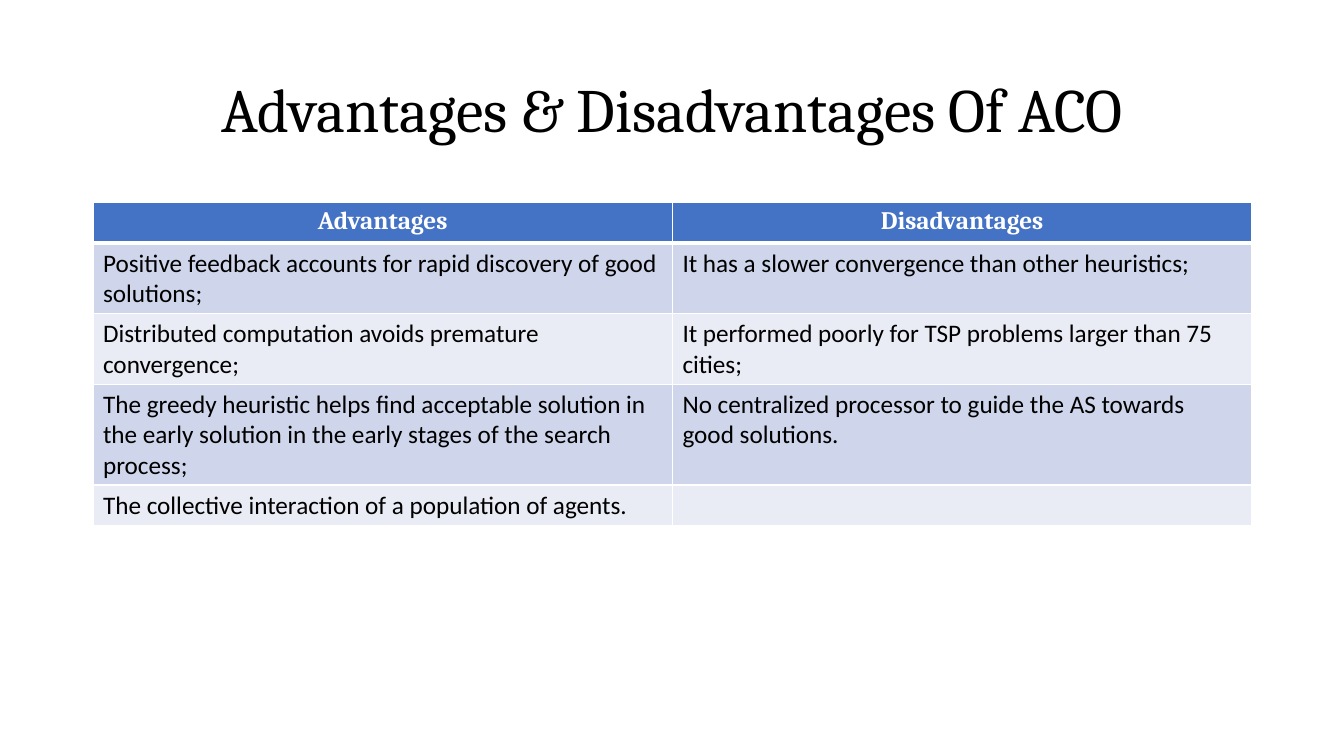
import pptx
import pptx.util
import pptx.dml.color
import pptx.enum.text
import pptx.oxml
import pptx.oxml.ns

RGBColor = pptx.dml.color.RGBColor
PP_ALIGN = pptx.enum.text.PP_ALIGN
ANCHOR = pptx.enum.text.MSO_ANCHOR

PX_PER_INCH = 100.8
BLACK = RGBColor(0x00, 0x00, 0x00)
WHITE = RGBColor(0xFF, 0xFF, 0xFF)
HEADER_BLUE = RGBColor(0x44, 0x72, 0xC4)
BANDS = (RGBColor(0xCF, 0xD5, 0xEA), RGBColor(0xE9, 0xEB, 0xF5))

HEADERS = ("Advantages", "Disadvantages")
POINTS = (
    ("Positive feedback accounts for rapid discovery of good solutions;",
     "It has a slower convergence than other heuristics;"),
    ("Distributed computation avoids premature convergence;",
     "It performed poorly for TSP problems larger than 75 cities;"),
    ("The greedy heuristic helps find acceptable solution in the early "
     "solution in the early stages of the search process;",
     "No centralized processor to guide the AS towards good solutions."),
    ("The collective interaction of a population of agents.", ""),
)


def px(n):
    return pptx.util.Emu(round(n * 914400 / PX_PER_INCH))


def format_text(p, size, font, color, bold=False):
    for r in p.runs:
        r.font.size = pptx.util.Pt(size)
        r.font.name = font
        r.font.color.rgb = color
        r.font.bold = bold


def set_borders(cell, top, bottom):
    """White cell borders, 1 pt at the sides; top and bottom in points."""
    tcPr = cell._tc.get_or_add_tcPr()
    sides = (("L", 1), ("R", 1), ("T", top), ("B", bottom))
    for i, (side, width) in enumerate(sides):
        ln = pptx.oxml.parse_xml(
            f'<a:ln{side} {pptx.oxml.ns.nsdecls("a")} w="{pptx.util.Pt(width)}">'
            f'<a:solidFill><a:srgbClr val="{WHITE}"/></a:solidFill></a:ln{side}>')
        tcPr.insert(i, ln)


def add_title(slide, x, y, w, h):
    tf = slide.shapes.add_textbox(px(x), px(y), px(w), px(h)).text_frame
    tf.word_wrap = True
    tf.vertical_anchor = ANCHOR.MIDDLE
    p = tf.paragraphs[0]
    p.text = "Advantages & Disadvantages Of ACO"
    p.alignment = PP_ALIGN.CENTER
    p.line_spacing = 0.9
    format_text(p, 44, "Cambria", BLACK)


def add_comparison(slide, x, y, w, row_h):
    rows = (HEADERS,) + POINTS
    table = slide.shapes.add_table(len(rows), len(HEADERS), px(x), px(y),
                                   px(w), px(row_h * len(rows))).table
    for i, texts in enumerate(rows):
        for j, text in enumerate(texts):
            cell = table.cell(i, j)
            cell.text = text
            p = cell.text_frame.paragraphs[0]
            cell.fill.solid()
            if i == 0:
                cell.fill.fore_color.rgb = HEADER_BLUE
                p.alignment = PP_ALIGN.CENTER
                format_text(p, 18, "Cambria", WHITE, bold=True)
            else:
                cell.fill.fore_color.rgb = BANDS[(i - 1) % 2]
                format_text(p, 18, "Calibri", BLACK)
            # Thick rule between the header and the body
            set_borders(cell, top=3 if i == 1 else 1, bottom=3 if i == 0 else 1)


def main():
    prs = pptx.Presentation()
    prs.slide_width, prs.slide_height = px(1344), px(756)
    slide = prs.slides.add_slide(prs.slide_layouts[6])
    add_title(slide, 93, 40, 1159, 146)
    add_comparison(slide, 93, 202, 1159, 41)
    prs.save("out.pptx")


if __name__ == "__main__":
    main()
